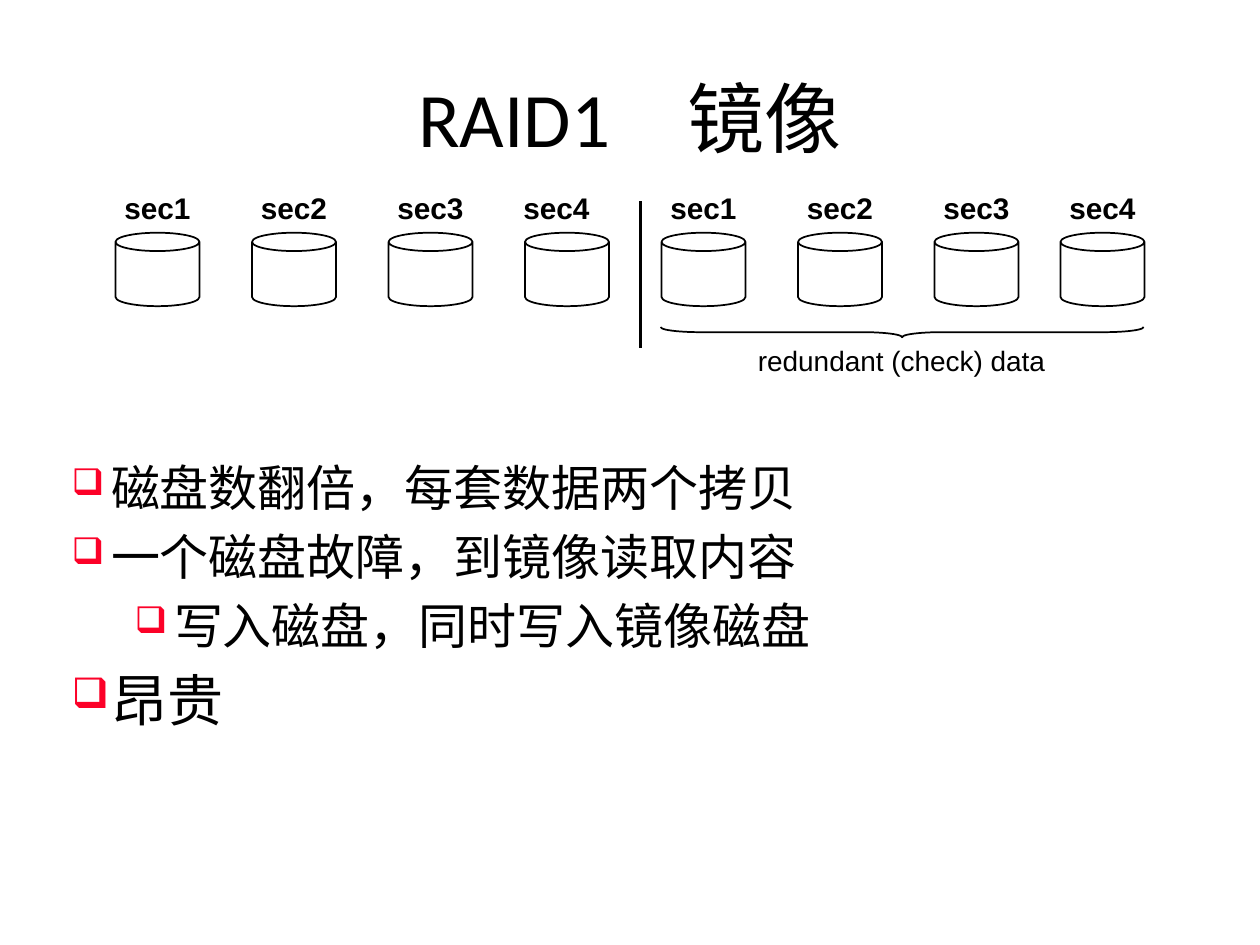
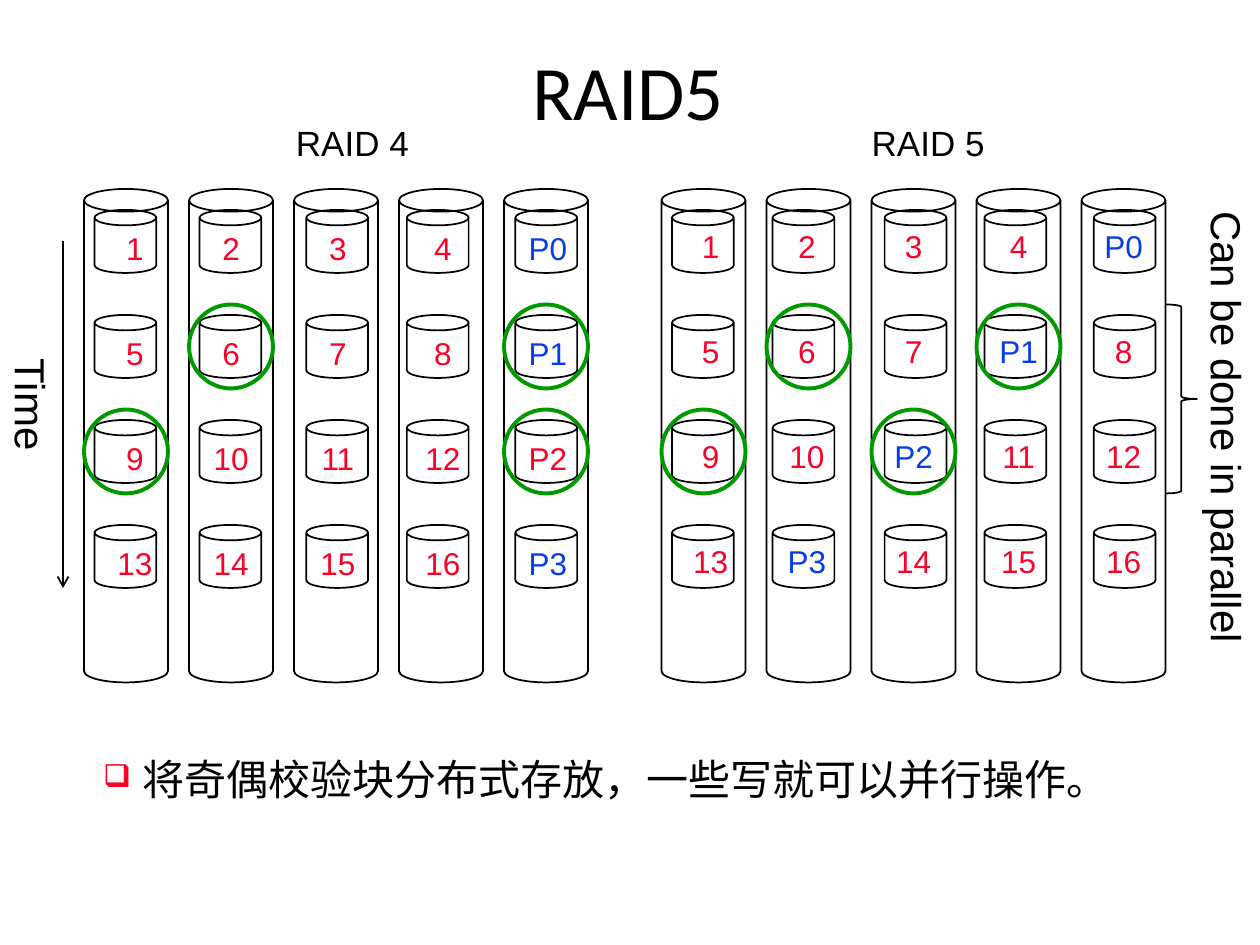
"""Build two slides on disk arrays: mirroring and distributed parity."""
from dataclasses import dataclass
from typing import Optional

from lxml.etree import SubElement
from pptx import Presentation
from pptx.dml.color import RGBColor
from pptx.enum.shapes import MSO_CONNECTOR as Connector, MSO_SHAPE as Preset
from pptx.enum.text import MSO_ANCHOR as Anchor, PP_ALIGN as Align
from pptx.oxml.ns import qn
from pptx.util import Pt

BLACK, RED, BLUE, GREEN = "000000", "FC0128", "063DE8", "009900"
BODY_FONT, TITLE_FONT = "Arial", "Calibri"
WIDE_INSETS, TIGHT_INSETS = (7.2, 3.6), (5, 2)
BULLET_INDENT = 22.5

# Slide 1
DISK_LEFTS = (66, 144, 222, 300, 378, 456, 534, 606)
SECTOR_LEFTS = (66, 144, 222, 294, 378, 456, 534, 606)

# Slide 2
COLUMN_STEP, ROW_STEP, COLUMN_WIDTH = 60, 60, 48
LABEL_STOPS = (14, 69, 130, 190, 250)


@dataclass(frozen=True)
class Bullet:
    """One line of a bulleted list."""
    text: str
    size: float
    level: int = 0


@dataclass(frozen=True)
class DiskArray:
    """An array of disk columns holding rows of blocks."""
    name: str
    name_left: float
    left: float
    block_lefts: tuple[float, ...]
    label_left: float
    label_top: float
    rows: tuple[str, ...]
    circled: tuple[tuple[int, int], ...]   # (column, row)
    red_parity: str = ""


ARRAYS = (
    DiskArray("RAID 4", 162, 48, (54, 114, 175, 232.5, 294.5), 56, 127.5,
              ("1 2 3 4 P0", "5 6 7 8 P1", "9 10 11 12 P2", "13 14 15 16 P3"),
              ((1, 1), (0, 2), (4, 1), (4, 2)), red_parity="P2"),
    DiskArray("RAID 5", 491, 378, (384, 441.5, 505.5, 562.5, 625), 385, 126,
              ("1 2 3 4 P0", "5 6 7 P1 8", "9 10 P2 11 12", "13 P3 14 15 16"),
              ((0, 2), (2, 2), (1, 1), (3, 1))),
)


def color(value: str) -> RGBColor:
    """Turn a hex string into a colour."""
    return RGBColor.from_string(value)


def add_span(para, text: str, *, size: float, font: str = BODY_FONT,
             ink: str = BLACK, bold: bool = False) -> None:
    """Append a formatted run to a paragraph."""
    span = para.add_run()
    span.text = text
    span.font.size = Pt(size)
    span.font.name = font
    span.font.bold = bold
    span.font.color.rgb = color(ink)


def add_frame(page, left: float, top: float, width: float, height: float, *,
              insets=WIDE_INSETS, wrap: bool = True, anchor=Anchor.TOP,
              rotation: float = 0):
    """Add an empty text box and return its text frame."""
    box = page.shapes.add_textbox(Pt(left), Pt(top), Pt(width), Pt(height))
    box.rotation = rotation
    frame = box.text_frame
    frame.word_wrap = wrap
    frame.vertical_anchor = anchor
    frame.margin_left = frame.margin_right = Pt(insets[0])
    frame.margin_top = frame.margin_bottom = Pt(insets[1])
    return frame


def add_text(page, text: str, left: float, top: float, width: float,
             height: float, *, size: float, font: str = BODY_FONT,
             bold: bool = False, align=Align.LEFT,
             spacing: Optional[float] = None, **frame_format) -> None:
    """Add a text box with one formatted line."""
    frame = add_frame(page, left, top, width, height, **frame_format)
    para = frame.paragraphs[0]
    para.alignment = align
    para.line_spacing = spacing
    add_span(para, text, size=size, font=font, bold=bold)


def add_title(page, text: str, left: float, top: float) -> None:
    """Add the slide title."""
    add_text(page, text, left, top, 648, 90, size=44, font=TITLE_FONT,
             align=Align.CENTER, anchor=Anchor.MIDDLE)


def add_bullets(page, bullets: list[Bullet], left: float, top: float,
                width: float, height: float, *, before: float = 0,
                spacing: Optional[float] = None) -> None:
    """Add a list with red box bullets."""
    frame = add_frame(page, left, top, width, height, insets=TIGHT_INSETS)
    for index, bullet in enumerate(bullets):
        para = frame.add_paragraph() if index else frame.paragraphs[0]
        para.level = bullet.level
        para.space_before = Pt(before)
        para.line_spacing = spacing
        add_span(para, bullet.text, size=bullet.size)
        props = para._p.get_or_add_pPr()
        props.set("marL", str(Pt(BULLET_INDENT + 36 * bullet.level)))
        props.set("indent", str(-Pt(BULLET_INDENT)))
        SubElement(SubElement(props, qn("a:buClr")), qn("a:srgbClr"), val=RED)
        SubElement(props, qn("a:buSzPct"), val="75000")
        SubElement(props, qn("a:buChar"), char="❑")


def add_outline(page, preset, left: float, top: float, width: float,
                height: float, *, ink: str = BLACK, weight: float = 1,
                adjust: Optional[float] = None, rotation: float = 0) -> None:
    """Add an unfilled preset shape."""
    shape = page.shapes.add_shape(preset, Pt(left), Pt(top), Pt(width), Pt(height))
    shape.shadow.inherit = False
    shape.fill.background()
    shape.line.color.rgb = color(ink)
    shape.line.width = Pt(weight)
    shape.rotation = rotation
    if adjust is not None:
        shape.adjustments[0] = adjust


def add_vertical_line(page, x: float, top: float, bottom: float, *,
                      weight: float, arrow: bool = False) -> None:
    """Add a black vertical line, with an arrowhead below if asked."""
    line = page.shapes.add_connector(Connector.STRAIGHT, Pt(x), Pt(top), Pt(x), Pt(bottom))
    line.line.color.rgb = color(BLACK)
    line.line.width = Pt(weight)
    if arrow:
        SubElement(line.line._get_or_add_ln(), qn("a:tailEnd"), type="arrow")
    SubElement(line._element.spPr, qn("a:effectLst"))


def add_block_labels(page, array: DiskArray, row: int) -> None:
    """Label one row of blocks, each centred on a tab stop."""
    frame = add_frame(page, array.label_left, array.label_top + row * ROW_STEP, 288, 29)
    para = frame.paragraphs[0]
    stops = SubElement(para._p.get_or_add_pPr(), qn("a:tabLst"))
    for stop in LABEL_STOPS:
        SubElement(stops, qn("a:tab"), pos=str(Pt(stop)), algn="ctr")
    for label in array.rows[row].split():
        parity = label.startswith("P") and label != array.red_parity
        add_span(para, "\t" + label, size=18, ink=BLUE if parity else RED)


def draw_array(page, array: DiskArray) -> None:
    """Draw the blocks, labels, columns and circles of one array."""
    add_text(page, array.name, array.name_left, 66, 79, 31, size=20, wrap=False)
    for row in range(len(array.rows)):
        for left in array.block_lefts:
            add_outline(page, Preset.CAN, left, 120 + row * ROW_STEP, 35.3, 36, adjust=0.25)
        add_block_labels(page, array, row)
    for column in range(len(array.block_lefts)):
        add_outline(page, Preset.CAN, array.left + column * COLUMN_STEP, 108,
                    COLUMN_WIDTH, 282, adjust=0.27)
    for column, row in array.circled:
        add_outline(page, Preset.OVAL, array.left + column * COLUMN_STEP,
                    114 + row * ROW_STEP, COLUMN_WIDTH, COLUMN_WIDTH,
                    ink=GREEN, weight=2.25)


def build_mirroring(page) -> None:
    """Slide 1: data disks, their mirrors and the main points."""
    add_title(page, "RAID1\u3000镜像", 36, 21.6)
    add_bullets(page, [
        Bullet("磁盘数翻倍，每套数据两个拷贝", 28),
        Bullet("一个磁盘故障，到镜像读取内容", 28),
        Bullet("写入磁盘，同时写入镜像磁盘", 28, level=1),
        Bullet("昂贵", 32),
    ], 36, 259.2, 645, 163, before=6)
    add_outline(page, Preset.LEFT_BRACE, 512.6, 51.8, 5.8, 276, adjust=3.83, rotation=270)
    add_text(page, "redundant (check) data", 426, 193, 179, 27, size=16, wrap=False)
    add_vertical_line(page, 366, 115, 199, weight=2.25)
    for index, (disk_left, sector_left) in enumerate(zip(DISK_LEFTS, SECTOR_LEFTS)):
        add_outline(page, Preset.CAN, disk_left, 133, 48, 42, adjust=0.25)
        add_text(page, f"sec{index % 4 + 1}", sector_left, 109.4, 48, 21.6,
                 size=17, bold=True, align=Align.CENTER, spacing=0.85,
                 insets=TIGHT_INSETS, wrap=False)


def build_parity(page) -> None:
    """Slide 2: dedicated against distributed parity."""
    add_title(page, "RAID5", 35, 6)
    add_bullets(page, [Bullet("将奇偶校验块分布式存放，一些写就可以并行操作。", 24)],
                54, 432, 642, 30, spacing=0.9)
    for array in ARRAYS:
        draw_array(page, array)
    add_outline(page, Preset.RIGHT_BRACE, 666, 174, 18, 108)
    add_vertical_line(page, 36, 138, 336, weight=1, arrow=True)
    add_text(page, "Time", -16, 214, 68, 36, size=24, wrap=False, rotation=90)
    add_text(page, "Can be done in parallel", 569.5, 227.5, 264, 36,
             size=24, wrap=False, rotation=90)


def main() -> None:
    """Build the deck and save it."""
    deck = Presentation()
    deck.slide_width, deck.slide_height = Pt(720), Pt(540)
    for build in (build_mirroring, build_parity):
        build(deck.slides.add_slide(deck.slide_layouts[6]))
    deck.save("out.pptx")


main()
